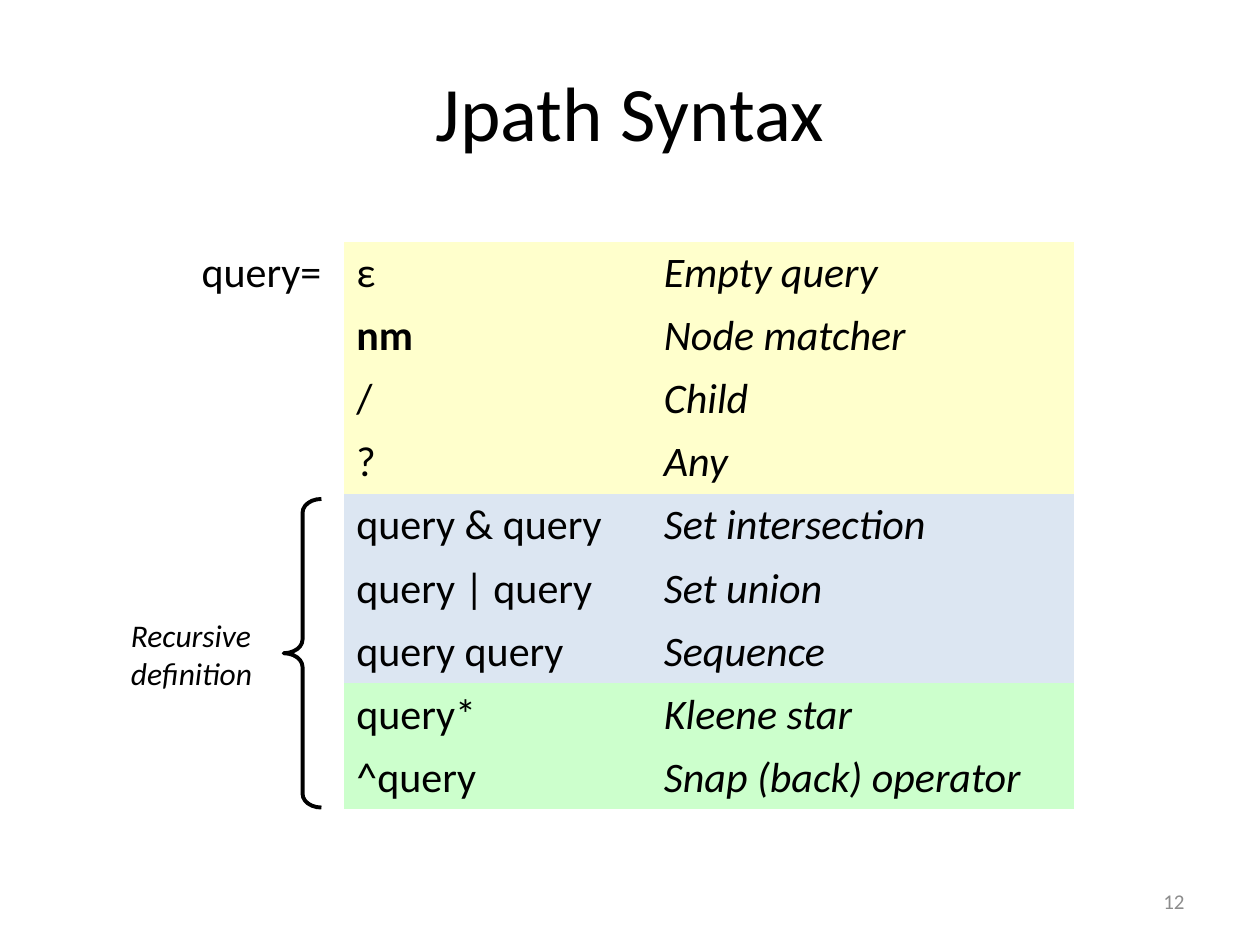
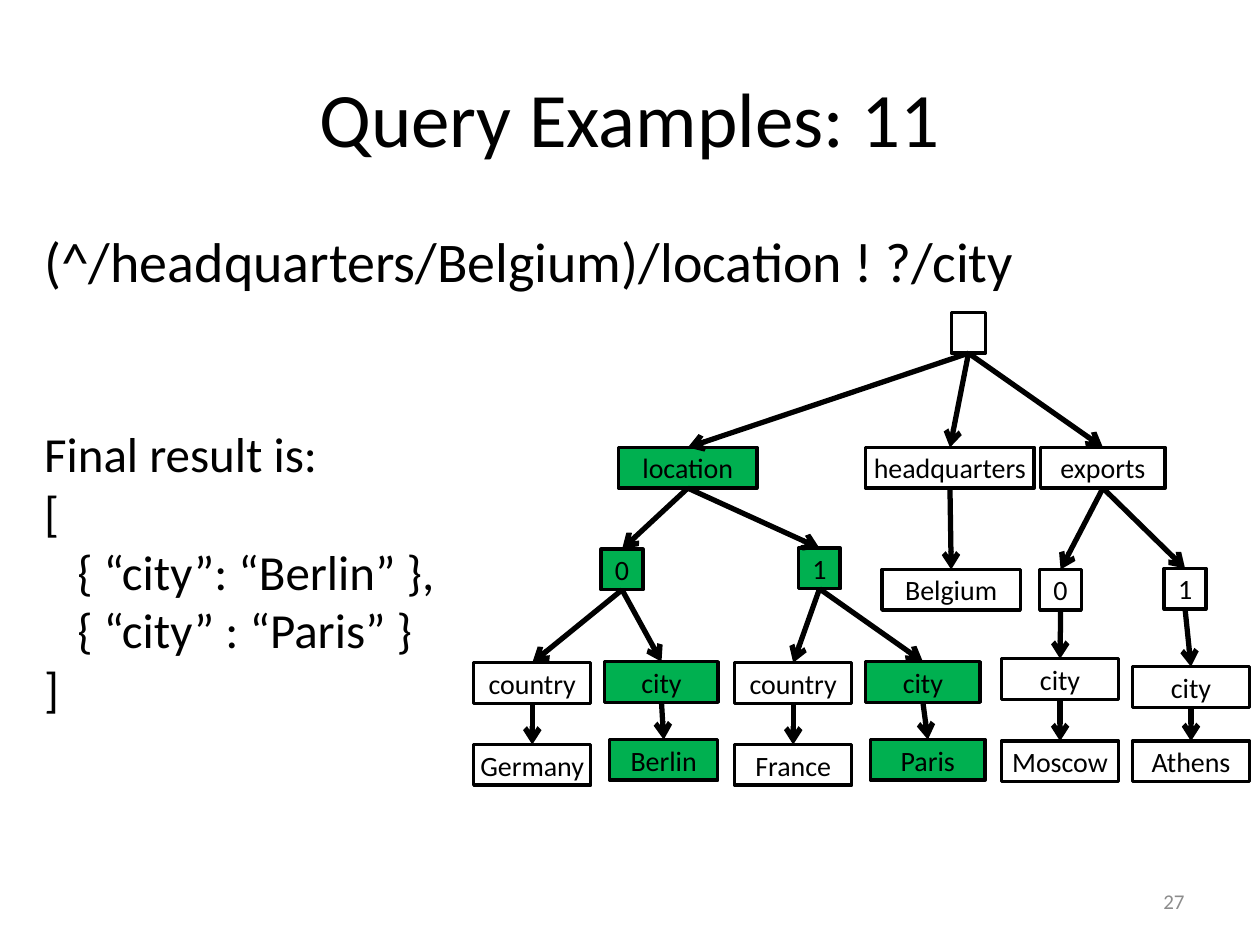
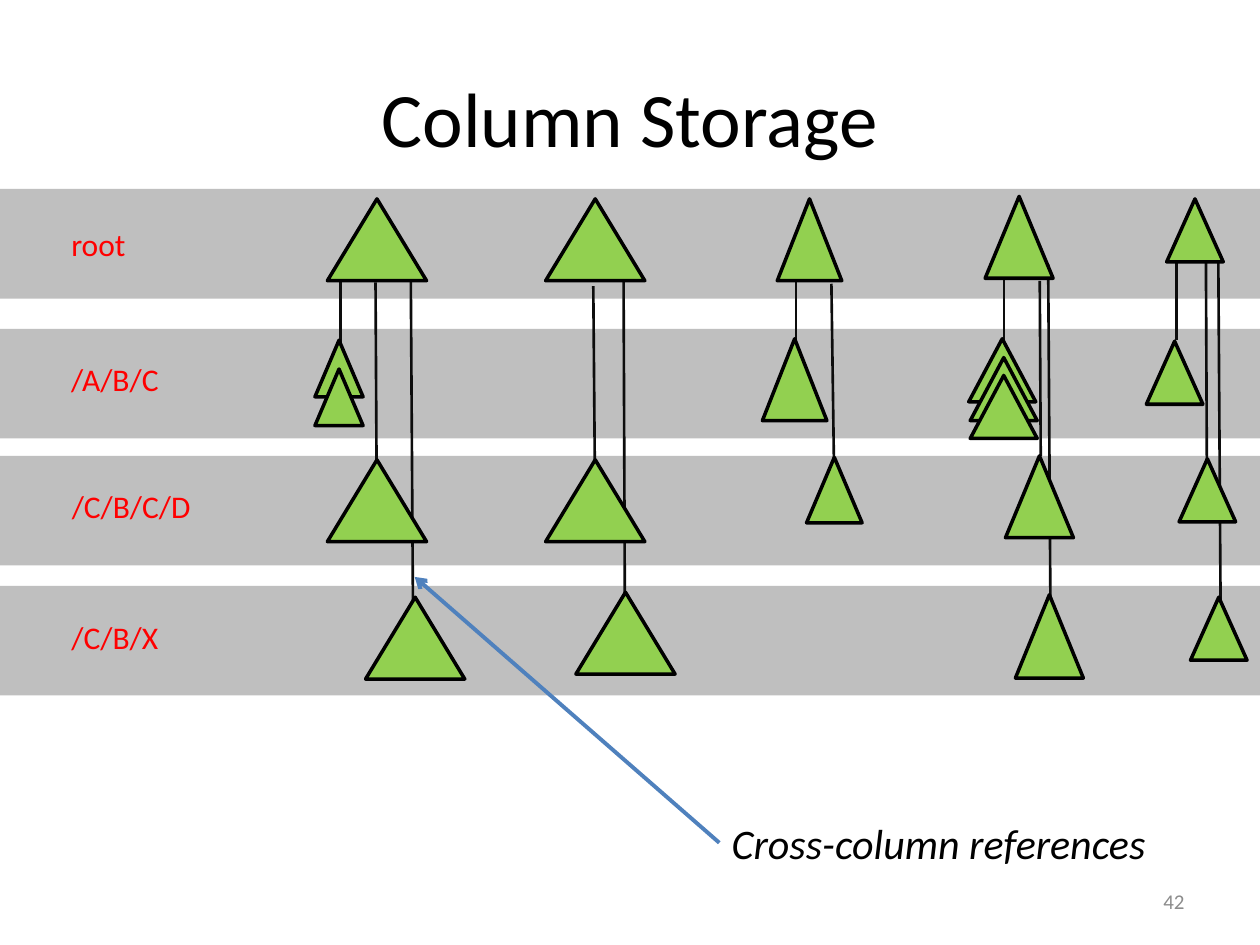
import pptx
import pptx.dml.color
import pptx.enum.shapes
import pptx.enum.text
import pptx.oxml
import pptx.oxml.ns
import pptx.util

Cm = pptx.util.Cm
Pt = pptx.util.Pt
RGBColor = pptx.dml.color.RGBColor
SHAPE = pptx.enum.shapes.MSO_SHAPE
ALIGN = pptx.enum.text.PP_ALIGN
ANCHOR = pptx.enum.text.MSO_ANCHOR
qn = pptx.oxml.ns.qn

FONT = "Calibri"
BLACK = RGBColor(0x00, 0x00, 0x00)
GRAY = RGBColor(0x8C, 0x8C, 0x8C)
YELLOW = RGBColor(0xFF, 0xFF, 0xCC)
PALE_BLUE = RGBColor(0xDC, 0xE6, 0xF2)
PALE_GREEN = RGBColor(0xCC, 0xFF, 0xCC)
MATCH_GREEN = RGBColor(0x00, 0xB0, 0x50)
BAND_GRAY = RGBColor(0xBF, 0xBF, 0xBF)
TREE_GREEN = RGBColor(0x92, 0xD0, 0x50)
NEAR_BLACK = RGBColor(0x0D, 0x0D, 0x0D)
RED = RGBColor(0xFF, 0x00, 0x00)
BLUE = RGBColor(0x4F, 0x81, 0xBD)
NO_TABLE_STYLE = "{2D5ABB26-0587-4C30-8999-92F81FD0307C}"


def write(tf, text, size, color=BLACK, align=ALIGN.LEFT, anchor=ANCHOR.TOP,
          wrap=False, bold=False, italic=False):
    tf.word_wrap = wrap
    tf.vertical_anchor = anchor
    for i, line in enumerate(text.split("\n")):
        p = tf.add_paragraph() if i else tf.paragraphs[0]
        p.alignment = align
        for j, part in enumerate(line.split("\v")):
            if j:
                p.add_line_break()
            r = p.add_run()
            r.text = part
            r.font.name = FONT
            r.font.size = Pt(size)
            r.font.color.rgb = color
            r.font.bold = bold
            r.font.italic = italic


def draw_line(s, x1, y1, x2, y2, color, width, arrow=False):
    c = s.shapes.add_connector(pptx.enum.shapes.MSO_CONNECTOR.STRAIGHT,
                               Cm(x1), Cm(y1), Cm(x2), Cm(y2))
    c.line.color.rgb = color
    c.line.width = Pt(width)
    if arrow:
        ln = c.line._get_or_add_ln()
        ln.append(pptx.oxml.parse_xml(
            f'<a:tailEnd {pptx.oxml.ns.nsdecls("a")} type="arrow"/>'))
    c.element.spPr.append(pptx.oxml.parse_xml(
        f'<a:effectLst {pptx.oxml.ns.nsdecls("a")}/>'))
    return c


prs = pptx.Presentation()
prs.slide_width = Cm(25.4)
prs.slide_height = Cm(19.05)

slides = []
for title, top, number in [("Jpath Syntax", 0.64, "12"),
                           ("Query Examples: 11", 0.76, "27"),
                           ("Column Storage", 0.76, "42")]:
    s = prs.slides.add_slide(prs.slide_layouts[6])
    sp = s.shapes.add_textbox(Cm(1.27), Cm(top), Cm(22.86), Cm(3.18))
    write(sp.text_frame, title, 44, align=ALIGN.CENTER, anchor=ANCHOR.MIDDLE, wrap=True)
    sp = s.shapes.add_textbox(Cm(18.2), Cm(17.66), Cm(5.93), Cm(1.01))
    write(sp.text_frame, number, 12, GRAY, ALIGN.RIGHT, ANCHOR.MIDDLE, True)
    slides.append(s)
syntax, example, storage = slides

rules = [
    ("ε", "Empty query", YELLOW),
    ("nm", "Node matcher", YELLOW),
    ("/", "Child", YELLOW),
    ("?", "Any", YELLOW),
    ("query & query", "Set intersection", PALE_BLUE),
    ("query | query", "Set union", PALE_BLUE),
    ("query query", "Sequence", PALE_BLUE),
    ("query*", "Kleene star", PALE_GREEN),
    ("^query", "Snap (back) operator", PALE_GREEN),
]
frame = syntax.shapes.add_table(len(rules), 3, Cm(3.81), Cm(4.87), Cm(17.85), Cm(11.43))
frame.element.find(".//" + qn("a:tableStyleId")).text = NO_TABLE_STYLE
table = frame.table
table.first_row = False
table.horz_banding = False
for column, width in zip(table.columns, [3.12, 6.2, 8.53]):
    column.width = Cm(width)
write(table.cell(0, 0).text_frame, "query=", 24, wrap=True)
for i, (form, meaning, color) in enumerate(rules):
    table.cell(i, 0).fill.background()
    for j, text in enumerate([form, meaning], 1):
        cell = table.cell(i, j)
        cell.fill.solid()
        cell.fill.fore_color.rgb = color
        write(cell.text_frame, text, 24, wrap=True, bold=text == "nm", italic=j == 2)

brace = syntax.shapes.add_shape(SHAPE.LEFT_BRACE, Cm(5.72), Cm(10.06), Cm(0.76), Cm(6.22))
brace.adjustments[0] = 0.364
brace.shadow.inherit = False
brace.fill.background()
brace.line.color.rgb = BLACK
brace.line.width = Pt(2.25)
sp = syntax.shapes.add_textbox(Cm(2.39), Cm(12.29), Cm(3.02), Cm(1.8))
write(sp.text_frame, "Recursive\vdefinition", 18, italic=True)

sp = example.shapes.add_textbox(Cm(0.64), Cm(4.45), Cm(24.13), Cm(12.57))
write(sp.text_frame, "(^/headquarters/Belgium)/location ! ?/city", 32, wrap=True)
sp = example.shapes.add_textbox(Cm(0.64), Cm(8.41), Cm(8.48), Cm(7.44))
write(sp.text_frame,
      "Final result is:\n[\n   { “city”: “Berlin” },\n   { “city” : “Paris” }\n]", 28)

NODE_HEIGHT = 0.82
nodes = [
    ("", 19.18, 6.3, 0.69, None, False),
    ("location", 12.47, 9.02, 2.79, 0, True),
    ("headquarters", 17.45, 9.02, 3.4, 0, False),
    ("exports", 20.98, 9.02, 2.51, 0, False),
    ("0", 12.12, 11.07, 0.84, 1, True),
    ("1", 16.1, 11.05, 0.84, 1, True),
    ("Belgium", 17.78, 11.48, 2.79, 2, False),
    ("0", 20.96, 11.48, 0.84, 3, False),
    ("1", 23.47, 11.46, 0.84, 3, False),
    ("country", 9.55, 13.36, 2.36, 4, False),
    ("city", 12.19, 13.34, 2.29, 4, True),
    ("country", 14.81, 13.36, 2.36, 5, False),
    ("city", 17.45, 13.34, 2.31, 5, True),
    ("city", 20.19, 13.28, 2.36, 7, False),
    ("city", 22.83, 13.44, 2.36, 8, False),
    ("Germany", 9.55, 15.01, 2.36, 9, False),
    ("Berlin", 12.29, 14.91, 2.18, 10, True),
    ("France", 14.81, 15.01, 2.36, 11, False),
    ("Paris", 17.55, 14.91, 2.31, 12, True),
    ("Moscow", 20.19, 14.94, 2.36, 13, False),
    ("Athens", 22.83, 14.94, 2.36, 14, False),
]
boxes = []
for label, x, y, w, parent, matched in nodes:
    sp = example.shapes.add_shape(SHAPE.RECTANGLE, Cm(x), Cm(y), Cm(w), Cm(NODE_HEIGHT))
    sp.shadow.inherit = False
    if matched:
        sp.fill.solid()
        sp.fill.fore_color.rgb = MATCH_GREEN
    else:
        sp.fill.background()
    sp.line.color.rgb = BLACK
    sp.line.width = Pt(2)
    if label:
        write(sp.text_frame, label, 16, align=ALIGN.CENTER, anchor=ANCHOR.MIDDLE)
    boxes.append(sp)
    if parent is not None:
        px, py, pw = nodes[parent][1:4]
        c = draw_line(example, px + pw / 2, py + NODE_HEIGHT, x + w / 2, y, BLACK, 3, True)
        c.begin_connect(boxes[parent], 2)
        c.end_connect(sp, 0)

for label, top, label_top, label_width in [("root", 3.81, 4.42, 1.63),
                                           ("/A/B/C", 6.63, 7.14, 2.29),
                                           ("/C/B/C/D", 9.19, 9.7, 2.95),
                                           ("/C/B/X", 11.81, 12.34, 2.29)]:
    band = storage.shapes.add_shape(SHAPE.RECTANGLE, 0, Cm(top), prs.slide_width, Cm(2.21))
    band.shadow.inherit = False
    band.fill.solid()
    band.fill.fore_color.rgb = BAND_GRAY
    band.line.fill.background()
    sp = storage.shapes.add_textbox(Cm(1.17), Cm(label_top), Cm(label_width), Cm(1.03))
    write(sp.text_frame, label, 18, RED, ALIGN.CENTER)

references = [
    (6.86, 5.56, 6.86, 7.19),
    (7.57, 5.69, 7.59, 9.25),
    (8.28, 5.44, 8.33, 13.03),
    (11.96, 5.77, 11.99, 9.32),
    (12.57, 5.56, 12.6, 13.16),
    (16.05, 5.66, 16.05, 7.29),
    (16.76, 5.72, 16.81, 9.25),
    (20.24, 5.46, 20.24, 7.11),
    (20.96, 5.66, 20.98, 9.19),
    (21.13, 5.33, 21.18, 12.9),
    (23.72, 5.23, 23.72, 6.86),
    (24.31, 5.26, 24.33, 9.65),
    (24.56, 5.28, 24.61, 12.88),
]
for ends in references:
    draw_line(storage, *ends, NEAR_BLACK, 1.5)

subtrees = [
    (6.6, 4.01, 2, 1.65),
    (11, 4.01, 2, 1.65),
    (15.67, 4.01, 1.3, 1.65),
    (19.86, 3.96, 1.37, 1.65),
    (23.52, 4.01, 1.14, 1.27),
    (6.35, 6.86, 0.97, 1.14),
    (6.35, 7.44, 0.97, 1.14),
    (15.37, 6.83, 1.3, 1.65),
    (19.53, 6.83, 1.35, 1.27),
    (19.56, 7.21, 1.35, 1.27),
    (19.56, 7.57, 1.35, 1.27),
    (23.11, 6.88, 1.14, 1.27),
    (6.6, 9.27, 2, 1.65),
    (11, 9.27, 2, 1.65),
    (16.26, 9.22, 1.12, 1.32),
    (20.27, 9.19, 1.37, 1.65),
    (23.77, 9.25, 1.14, 1.27),
    (7.37, 12.04, 2, 1.65),
    (11.61, 11.94, 2, 1.65),
    (20.47, 11.99, 1.37, 1.68),
    (24, 12.04, 1.14, 1.27),
]
for bounds in subtrees:
    sp = storage.shapes.add_shape(SHAPE.ISOSCELES_TRIANGLE, *map(Cm, bounds))
    sp.shadow.inherit = False
    sp.fill.solid()
    sp.fill.fore_color.rgb = TREE_GREEN
    sp.line.color.rgb = BLACK
    sp.line.width = Pt(2)

sp = storage.shapes.add_textbox(Cm(14.5), Cm(16.36), Cm(8.97), Cm(1.28))
write(sp.text_frame, "Cross-column references", 24, italic=True)
draw_line(storage, 14.5, 16.99, 8.36, 11.63, BLUE, 2.25, True)

prs.save("out.pptx")
